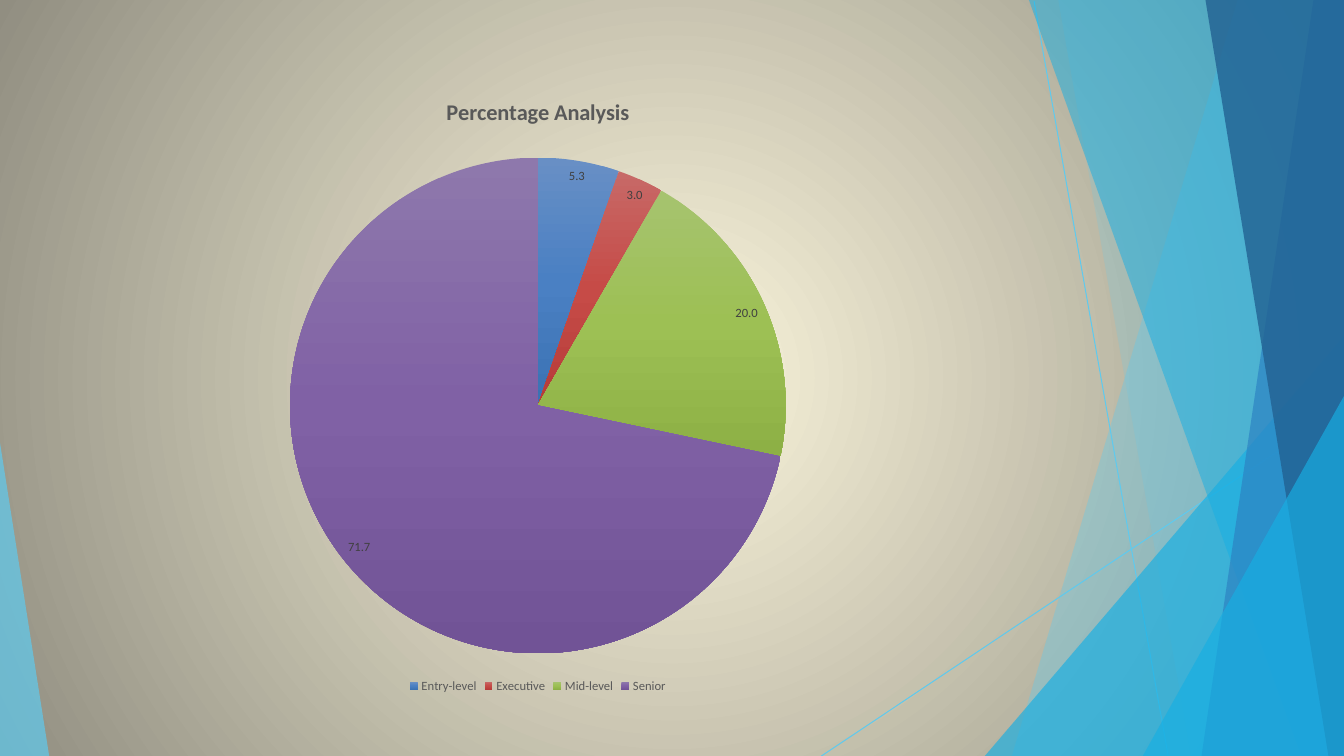
from pptx import Presentation
from pptx.chart.data import CategoryChartData
from pptx.dml.color import RGBColor
from pptx.enum import chart as charts, shapes
from pptx.oxml import ns, xmlchemy
from pptx.util import Cm, Pt

WIDTH, HEIGHT = 33.87, 19.05
FONT = "Calibri"
COLORS = {
    "sky": "5FCAEE", "cyan": "17AFE3", "blue": "2D83C3", "navy": "226192",
    "cream": "FCF7DD", "stone": "918E81", "grey": "595959", "label": "404040",
}
LEVELS = {
    "Entry-level": (5.3, ("688FC5", "4A80C3", "3B72B3")),
    "Executive": (3.0, ("C76967", "C64B47", "B63C39")),
    "Mid-level": (20.0, ("A6C36F", "9DC054", "8DB045")),
    "Senior": (71.7, ("8E78AC", "8061A5", "715396")),
}
RAYS = [((26.06, 0.03), (29.44, HEIGHT)), ((WIDTH, 10.26), (20.7, HEIGHT))]
# Right-hand facets: top y, top-left x, bottom-left x, colour, opacity
FACETS = [
    (0, 31.19, 25.5, "sky", 36),
    (0, 26.67, 30.02, "sky", 20),
    (8.46, WIDTH, 24.82, "cyan", 66),
    (0, 25.93, 32.79, "cyan", 50),
    (0, 33.1, 30.28, "blue", 70),
    (0, 30.38, 33.48, "navy", 80),
    (9.98, WIDTH, 28.8, "cyan", 66),
]


def rgb(name):
    return RGBColor.from_string(COLORS[name])


def add_child(parent, tag, **attributes):
    child = xmlchemy.OxmlElement(tag)
    for key, value in attributes.items():
        child.set(key, str(value))
    parent.append(child)
    return child


def set_gradient(fill, hexes):
    """Spread the colours evenly over a gradient and return its XML element."""
    fill.gradient()
    stops = fill._fill._gradFill.find(ns.qn("a:gsLst"))
    for stop in list(stops):
        stops.remove(stop)
    for i, color in enumerate(hexes):
        stop = add_child(stops, "a:gs", pos=round(100000 * i / (len(hexes) - 1)))
        add_child(stop, "a:srgbClr", val=color)
    return stops.getparent()


def paint_background(page):
    gradient = set_gradient(page.background.fill, (COLORS["cream"], COLORS["stone"]))
    gradient.remove(gradient.find(ns.qn("a:lin")))
    circle = add_child(gradient, "a:path", path="circle")
    add_child(circle, "a:fillToRect", l=50000, t=50000, r=50000, b=50000)


def add_ray(page, start, end):
    ends = [Cm(value) for value in (*start, *end)]
    ray = page.shapes.add_connector(shapes.MSO_CONNECTOR.STRAIGHT, *ends)
    ray.line.color.rgb = rgb("sky")
    ray.line.width = Pt(0.75)
    add_child(ray._element.spPr, "a:effectLst")


def add_facet(page, corners, color, opacity):
    points = [(Cm(x), Cm(y)) for x, y in corners]
    builder = page.shapes.build_freeform(*points[0])
    builder.add_line_segments(points[1:], close=True)
    facet = builder.convert_to_shape()
    facet.shadow.inherit = False
    facet.line.fill.background()
    facet.fill.solid()
    facet.fill.fore_color.rgb = rgb(color)
    tint = facet._element.spPr.find(ns.qn("a:solidFill"))[0]
    add_child(tint, "a:alpha", val=opacity * 1000)


def style_font(font, size, color, bold=False):
    font.name, font.size, font.bold = FONT, Pt(size), bold
    font.color.rgb = rgb(color)


def add_level_pie(page):
    data = CategoryChartData(number_format="0.0")
    data.categories = list(LEVELS)
    data.add_series("Series 1", [value for value, _ in LEVELS.values()])
    box = [Cm(length) for length in (0.64, 1.9, 25.83, 15.67)]
    chart = page.shapes.add_chart(charts.XL_CHART_TYPE.PIE, *box, data).chart
    style_font(chart.font, 10, "grey")

    chart.has_title = True
    span = chart.chart_title.text_frame.paragraphs[0].add_run()
    span.text = "Percentage Analysis"
    style_font(span.font, 16, "grey", bold=True)
    chart.chart_title.include_in_layout = False

    chart.has_legend = True
    chart.legend.position = charts.XL_LEGEND_POSITION.BOTTOM
    chart.legend.include_in_layout = False
    style_font(chart.legend.font, 9, "grey")

    plot = chart.plots[0]
    plot.vary_by_categories = True
    for i, (_, hexes) in enumerate(LEVELS.values()):
        fill = plot.series[0].points[i].format.fill
        set_gradient(fill, hexes)
        fill.gradient_angle = 270

    labels = plot.series[0].data_labels
    labels.show_value = True
    labels.number_format, labels.number_format_is_linked = "0.0", False
    labels.position = charts.XL_LABEL_POSITION.BEST_FIT
    style_font(labels.font, 9, "label")


def main():
    deck = Presentation()
    deck.slide_width, deck.slide_height = Cm(WIDTH), Cm(HEIGHT)
    page = deck.slides.add_slide(deck.slide_layouts[6])
    paint_background(page)
    for start, end in RAYS:
        add_ray(page, start, end)
    for top, top_left, bottom_left, color, opacity in FACETS:
        corners = [(WIDTH, top), (top_left, top), (bottom_left, HEIGHT), (WIDTH, HEIGHT)]
        add_facet(page, corners, color, opacity)
    add_facet(page, [(0, 11.15), (0, HEIGHT), (1.24, HEIGHT)], "sky", 70)
    add_level_pie(page)
    deck.save("out.pptx")


if __name__ == "__main__":
    main()
